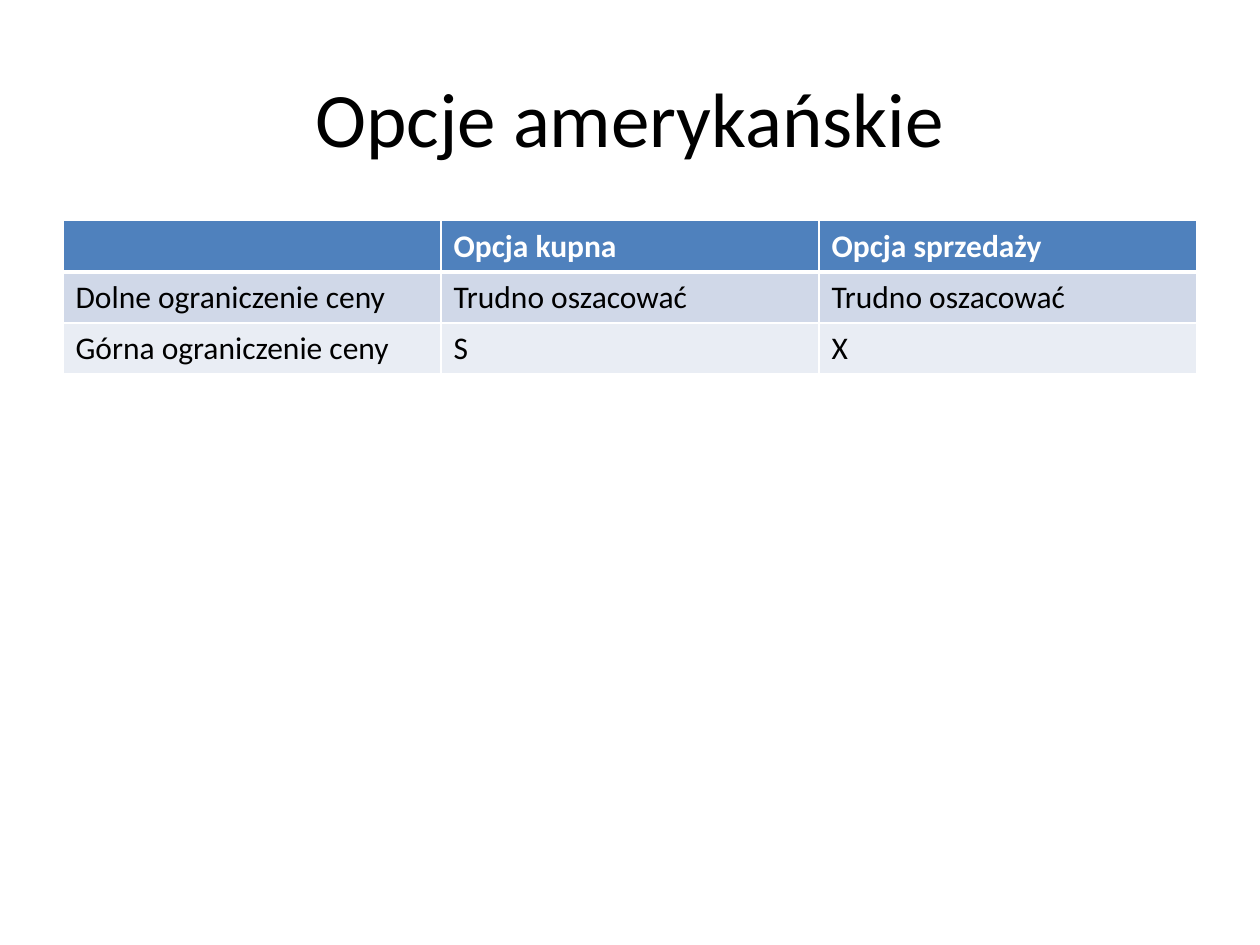
from pptx import Presentation
from pptx import util as u
from pptx.dml import color
from pptx.enum import text
from pptx.oxml import ns
from lxml import etree

WHITE, BLACK = "FFFFFF", "000000"
HEADER_FILL = "4F81BD"
BAND_FILLS = ("D0D8E8", "E9EDF4")

OPTION_BOUNDS = [
    ["", "Opcja kupna", "Opcja sprzedaży"],
    ["Dolne ograniczenie ceny", "Trudno oszacować", "Trudno oszacować"],
    ["Górna ograniczenie ceny", "S", "X"],
]


def rgb(value):
    return color.RGBColor.from_string(value)


def write(frame, content, *, size, ink=BLACK, bold=False, font="Calibri",
          align=text.PP_ALIGN.LEFT):
    paragraph = frame.paragraphs[0]
    paragraph.alignment = align
    paragraph.font.size = u.Pt(size)
    if content:
        run = paragraph.add_run()
        run.text = content
        run.font.name = font
        run.font.size = u.Pt(size)
        run.font.bold = bold
        run.font.color.rgb = rgb(ink)


def add_border(cell, side, width):
    """Draw a white line on one side (L, R, T or B) of a cell."""
    properties = cell._tc.get_or_add_tcPr()
    line = etree.SubElement(properties, ns.qn(f"a:ln{side}"), w=str(u.Pt(width)))
    fill = etree.SubElement(line, ns.qn("a:solidFill"))
    etree.SubElement(fill, ns.qn("a:srgbClr"), val=WHITE)


class SlideBuilder:
    """Holds the text sizes and the current slide."""

    title_size = 44
    table_size = 18

    def __init__(self, slide):
        self.slide = slide

    def title(self, content, left, top, width, height):
        heading = self.slide.shapes.add_textbox(left, top, width, height)
        frame = heading.text_frame
        frame.word_wrap = True
        frame.vertical_anchor = text.MSO_ANCHOR.MIDDLE
        write(frame, content, size=self.title_size, align=text.PP_ALIGN.CENTER)

    def table(self, rows, left, top, width, row_height):
        grid = self.slide.shapes.add_table(
            len(rows), len(rows[0]), left, top, width, row_height * len(rows)).table
        for r, row in enumerate(rows):
            is_header = r == 0
            fill = HEADER_FILL if is_header else BAND_FILLS[(r - 1) % 2]
            widths = {"L": 1, "R": 1, "T": 3 if r == 1 else 1,
                      "B": 3 if is_header else 1}
            for c, content in enumerate(row):
                cell = grid.cell(r, c)
                for side, line_width in widths.items():
                    add_border(cell, side, line_width)
                cell.fill.solid()
                cell.fill.fore_color.rgb = rgb(fill)
                write(cell.text_frame, content, size=self.table_size,
                      ink=WHITE if is_header else BLACK, bold=is_header)


def main():
    deck = Presentation()
    deck.slide_width, deck.slide_height = u.Cm(25.4), u.Cm(19.05)
    builder = SlideBuilder(deck.slides.add_slide(deck.slide_layouts[6]))
    margin, content_width = u.Cm(1.27), u.Cm(22.86)
    builder.title("Opcje amerykańskie", margin, u.Cm(0.76), content_width, u.Cm(3.18))
    builder.table(OPTION_BOUNDS, margin, u.Cm(4.45), content_width, u.Cm(1.03))
    deck.save("out.pptx")


if __name__ == "__main__":
    main()
